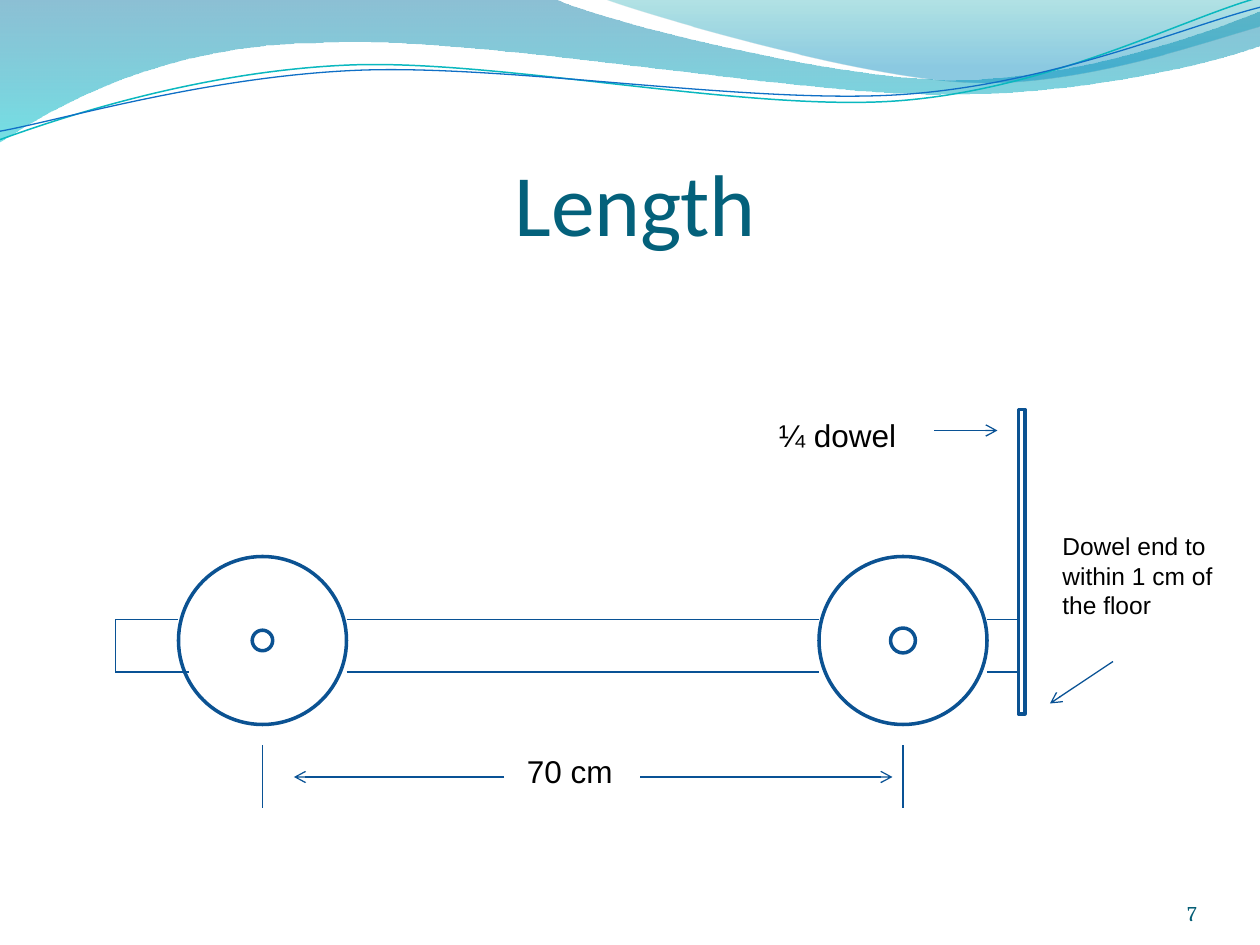
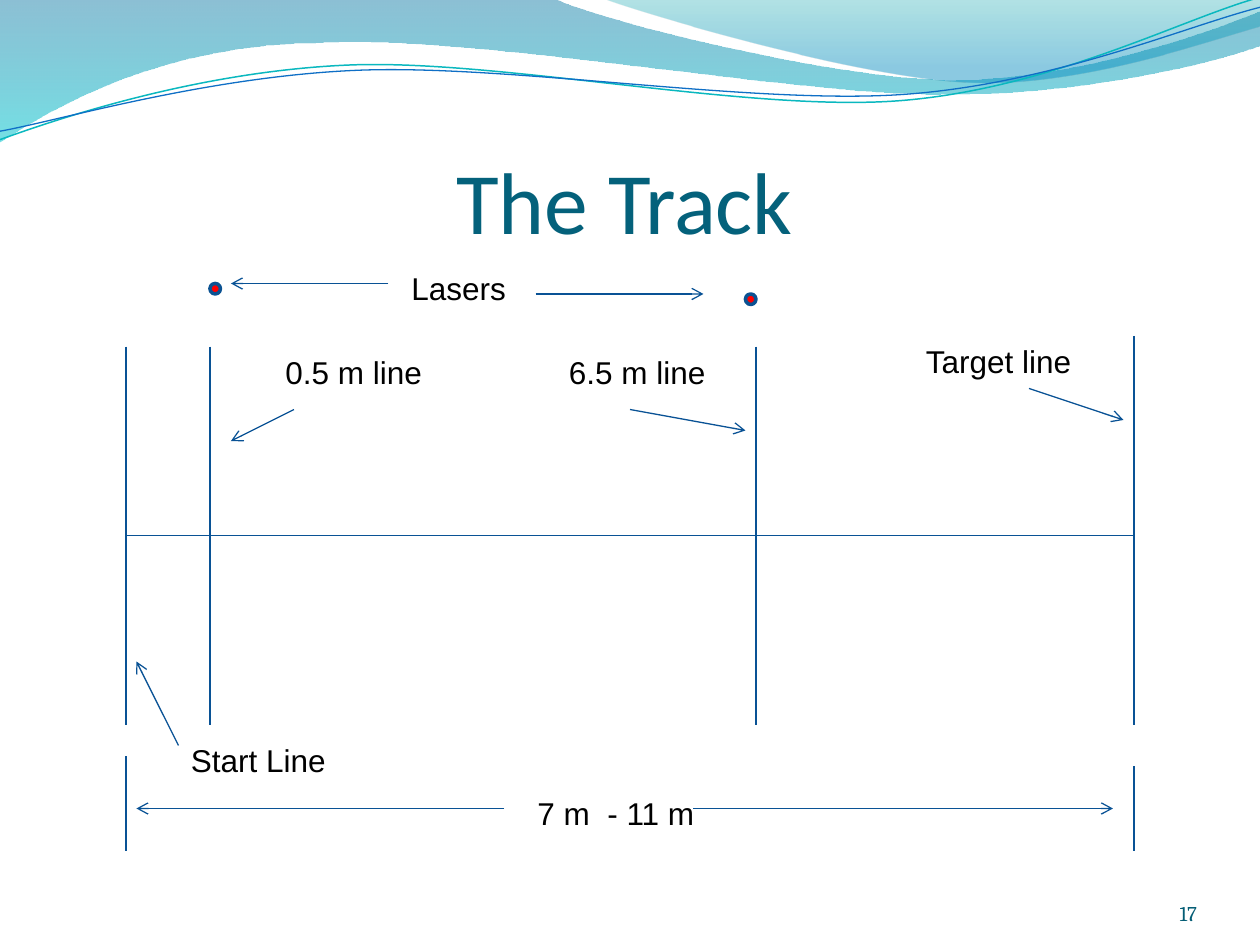
from lxml.etree import SubElement
from pptx import Presentation
from pptx.dml.color import RGBColor
from pptx.enum.shapes import MSO_CONNECTOR, MSO_SHAPE
from pptx.enum.text import MSO_ANCHOR, PP_ALIGN
from pptx.oxml.ns import qn
from pptx.util import Pt

PX = 914400 // 120  # EMU in one px
SLIDE_W, SLIDE_H = 1200, 900

COLORS = {
    "title": "04617B", "number": "045D75", "text": "000000",
    "line": "095295", "outline": "0B5292", "white": "FFFFFF", "laser": "FF0000",
    "teal_wave": "0AB8BF", "blue_wave": "0F6FC6",
    "deep": "0074A1", "aqua": "00C6CF", "sea": "00A1A9", "sky": "008BBF",
}

TITLE = dict(size=50, font="Calibri", color="title", align=PP_ALIGN.CENTER,
             anchor=MSO_ANCHOR.BOTTOM, insets=(0, 6, 0, 0))
NUMBER = dict(size=12, font="Cambria", color="number", align=PP_ALIGN.RIGHT,
              anchor=MSO_ANCHOR.BOTTOM, insets=(0, 0, 0, 0))
LABEL = dict(size=18, font="Arial", color="text", align=PP_ALIGN.LEFT,
             anchor=MSO_ANCHOR.TOP, insets=(12, 6, 12, 6))
NOTE = {**LABEL, "size": 14}

# Waves: a pair is a straight step, six numbers are a Bezier curve
BANDS = [
    ([(0, -1), (528, -1), (571, 20, 797, 76, 910, 76),
      (1024, 76, 1150, 31, 1200, 11), (1201, 43),
      (1180, 53, 1044, 91, 895, 90), (746, 90, 458, 34, 308, 41),
      (155, 42, 55, 100, -1, 136)],
     [(0, "deep", 45), (1, "aqua", 55)]),
    ([(575, -1), (611, 13, 818, 74, 923, 78),
      (1027, 83, 1153, 38, 1200, 25), (1200, 0)],
     [(0, "sea", 30), (0.8, "sky", 45)]),
]
STRANDS = [
    ([(0, 133), (58, 112, 190, 68, 332, 62), (474, 56, 712, 107, 856, 96),
      (1000, 85, 1126, 18, 1198, -2)], "teal_wave", 0.85),
    ([(0, 125), (56, 115, 197, 73, 340, 67), (484, 61, 716, 100, 860, 90),
      (1003, 80, 1129, 25, 1200, 7)], "blue_wave", 0.75),
]


def emu(px):
    return px * PX


def rgb(name):
    return RGBColor.from_string(COLORS[name])


def set_line(s, color, width):
    s.line.color.rgb = rgb(color)
    s.line.width = Pt(width)


class Region:
    """A part of a slide; everything in it is placed from its top left corner."""

    def __init__(self, slide, left=0, top=0):
        self.shapes, self.left, self.top = slide.shapes, left, top

    def at(self, x, y):
        return emu(self.left + x), emu(self.top + y)

    def line(self, x1, y1, x2, y2, arrow=False):
        s = self.shapes.add_connector(
            MSO_CONNECTOR.STRAIGHT, *self.at(x1, y1), *self.at(x2, y2))
        set_line(s, "line", 0.75)
        if arrow:
            SubElement(s.line._get_or_add_ln(), qn("a:tailEnd"), type="arrow")
        SubElement(s.element.spPr, qn("a:effectLst"))

    def arrow(self, *ends):
        self.line(*ends, arrow=True)

    def shape(self, kind, x, y, w, h, fill=None):
        s = self.shapes.add_shape(kind, *self.at(x, y), emu(w), emu(h))
        s.shadow.inherit = False
        if fill:
            s.fill.solid()
            s.fill.fore_color.rgb = rgb(fill)
        else:
            s.fill.background()
        set_line(s, "outline", 2)
        return s

    def text(self, words, x, y, w, h, style=LABEL):
        tf = self.shapes.add_textbox(*self.at(x, y), emu(w), emu(h)).text_frame
        tf.word_wrap = True
        tf.vertical_anchor = style["anchor"]
        for side, inset in zip(("left", "top", "right", "bottom"), style["insets"]):
            setattr(tf, f"margin_{side}", emu(inset))
        p = tf.paragraphs[0]
        p.alignment = style["align"]
        r = p.add_run()
        r.text = words
        for name, value in {"size": Pt(style["size"]), "name": style["font"]}.items():
            setattr(r.font, name, value)
        r.font.color.rgb = rgb(style["color"])

    def curve(self, steps, close):
        """Freeform through the step ends, then bent where a step is a Bezier."""
        builder = self.shapes.build_freeform(*self.at(*steps[0]))
        builder.add_line_segments([self.at(*step[-2:]) for step in steps[1:]], close=close)
        s = builder.convert_to_shape()
        s.shadow.inherit = False
        segments = list(s.element.spPr.iter(qn("a:lnTo")))
        for segment, step in zip(segments, steps[1:]):
            if len(step) == 6:
                segment.getparent().replace(segment, self.bezier(s, step))
        return s

    def bezier(self, s, step):
        bend = s.element.makeelement(qn("a:cubicBezTo"))
        for x, y in zip(step[::2], step[1::2]):
            left, top = self.at(x, y)
            SubElement(bend, qn("a:pt"), x=str(left - s.left), y=str(top - s.top))
        return bend


def add_waves(region):
    for steps, stops in BANDS:
        s = region.curve(steps, close=True)
        s.line.fill.background()
        s.fill.gradient()
        s.fill.gradient_angle = 270
        for stop, (position, color, _) in zip(s.fill.gradient_stops, stops):
            stop.position = position
            stop.color.rgb = rgb(color)
        for clr, (_, _, opacity) in zip(s.element.spPr.iter(qn("a:srgbClr")), stops):
            SubElement(clr, qn("a:alpha"), val=str(opacity * 1000))
    for steps, color, width in STRANDS:
        s = region.curve(steps, close=False)
        s.fill.background()
        set_line(s, color, width)


def add_base(prs, title, title_box, number):
    """New slide with waves, title and slide number."""
    slide = prs.slides.add_slide(prs.slide_layouts[6])
    page = Region(slide)
    add_waves(page)
    page.text(title, *title_box, TITLE)
    page.text(number, 1040, 834, 100, 48, NUMBER)
    return slide


def add_dimension(region, ticks, words, box, arrows):
    """Measured distance: end ticks, a label and an arrow to each side."""
    for x, top, bottom in ticks:
        region.line(x, top, x, bottom)
    region.text(words, *box)
    for y, start, end in arrows:
        region.arrow(start, y, end, y)


def add_vehicle(region):
    # Wheels
    for x, ring in ((60, 0.439), (670, 0.426)):
        wheel = region.shape(MSO_SHAPE.DONUT, x, 140, 160, 160)
        wheel.adjustments[0] = ring
    # Chassis, broken where the wheels cover it
    top, bottom, end = 200, 250, 860
    for start, stop_top, stop_bottom in ((0, 60, 70), (220, 670, 670), (830, end, end)):
        region.line(start, top, stop_top, top)
        region.line(start, bottom, stop_bottom, bottom)
    for x in (0, end):
        region.line(x, top, x, bottom)
    # Dowel and its notes
    region.shape(MSO_SHAPE.RECTANGLE, end, 0, 6, 290, "white")
    region.text("¼ dowel", 620, 0, 150, 48)
    region.arrow(780, 20, 840, 20)
    region.text("Dowel end to within 1 cm of the floor", 890, 110, 180, 97, NOTE)
    region.arrow(950, 240, 890, 280)


def add_track(region):
    # Centre line and cross lines
    region.line(0, 190, 960, 190)
    for x, top in ((0, 10), (80, 10), (600, 10), (960, 0)):
        region.line(x, top, x, 370)
    # Names of the cross lines, each with a pointer
    for words, box, pointer in (
        ("0.5 m line", (140, 10, 170, 48), (160, 70, 100, 100)),
        ("6.5 m line", (410, 10, 160, 48), (480, 70, 590, 90)),
        ("Target line", (750, 0, 180, 48), (860, 50, 950, 80)),
        ("Start Line", (50, 380, 280, 50), (50, 390, 10, 310)),
    ):
        region.text(words, *box)
        region.arrow(*pointer)


def add_lasers(region):
    for x, y, start, end in ((0, 20, 170, 20), (510, 30, 310, 470)):
        region.shape(MSO_SHAPE.OVAL, x, y, 10, 10, "laser")
        region.arrow(start, y, end, y)
    region.text("Lasers", 180, 0, 120, 48)


def length_slide(prs):
    slide = add_base(prs, "Length", (60, 92, 1090, 150), "7")
    add_vehicle(Region(slide, 110, 390))
    add_dimension(Region(slide, 250, 710), [(0, 0, 60), (610, 0, 60)],
                  "70 cm", (240, 0, 110, 48), [(30, 230, 30), (30, 360, 600)])


def track_slide(prs):
    slide = add_base(prs, "The Track", (50, 100, 1090, 140), "17")
    add_track(Region(slide, 120, 320))
    add_dimension(Region(slide, 120, 720), [(0, 0, 90), (960, 10, 90)],
                  "7 m  - 11 m", (380, 30, 180, 48), [(50, 360, 10), (50, 540, 940)])
    add_lasers(Region(slide, 200, 250))


def main():
    prs = Presentation()
    prs.slide_width, prs.slide_height = emu(SLIDE_W), emu(SLIDE_H)
    length_slide(prs)
    track_slide(prs)
    prs.save("out.pptx")


if __name__ == "__main__":
    main()
